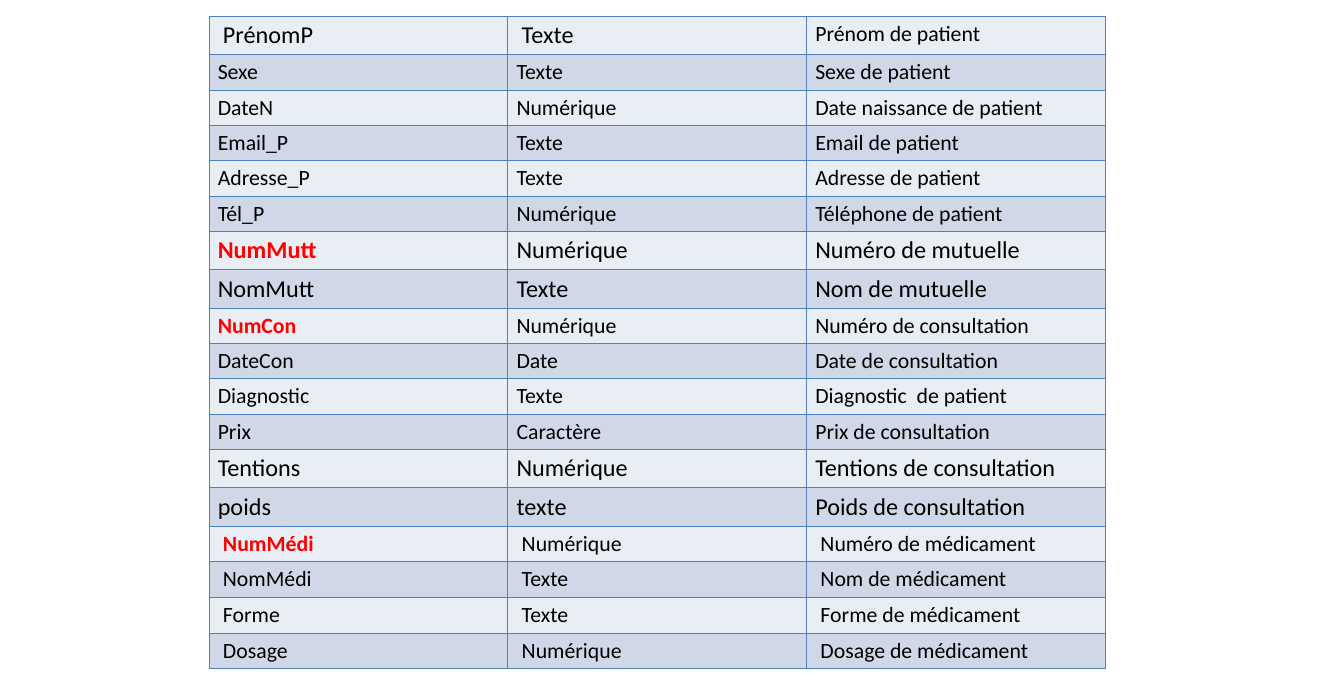
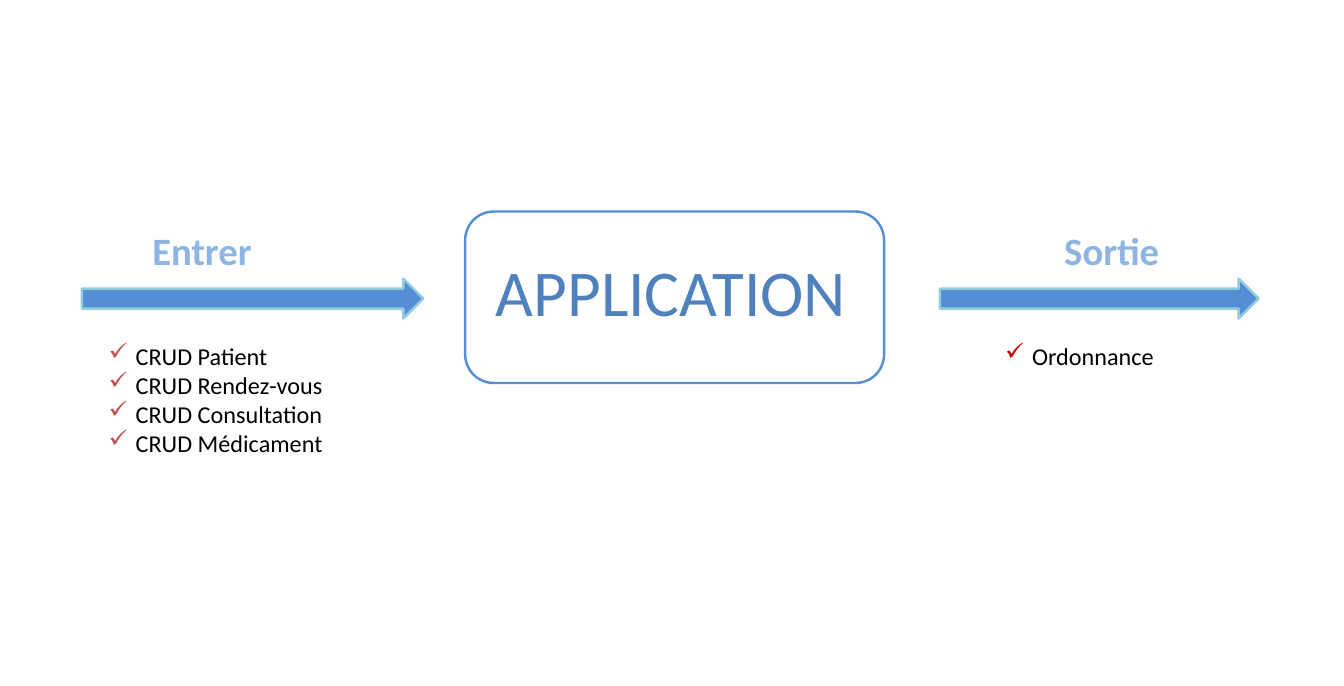
from dataclasses import dataclass

from lxml import etree
from pptx import Presentation
from pptx.dml.color import RGBColor
from pptx.enum.shapes import MSO_SHAPE
from pptx.enum.text import MSO_AUTO_SIZE, PP_ALIGN
from pptx.oxml.ns import qn
from pptx.slide import Slide
from pptx.table import _Cell
from pptx.text.text import _Paragraph
from pptx.util import Emu, Pt

RIGHT_ARROW = MSO_SHAPE.RIGHT_ARROW
ROUNDED_BOX = MSO_SHAPE.ROUNDED_RECTANGLE
LEFT, CENTER = PP_ALIGN.LEFT, PP_ALIGN.CENTER
FIT_SHAPE = MSO_AUTO_SIZE.SHAPE_TO_FIT_TEXT

EMU_PER_PX = 9144
FONT = "Calibri"
COLORS = {
    "text": "000000",
    "key": "FF0000",
    "border": "4F81BD",
    "light_row": "E9EDF4",
    "dark_row": "D0D8E8",
    "heading": "8EB4E3",
    "application": "4F81BD",
    "arrow": "558ED5",
    "arrow_line": "93CDDD",
    "input_check": "C0504D",
    "output_check": "C00000",
}


@dataclass(frozen=True)
class Field:
    name: str
    kind: str
    meaning: str
    size: int = 18
    is_key: bool = False
    indented: bool = False


@dataclass(frozen=True)
class Frame:
    left: int
    top: int
    width: int
    height: int


@dataclass(frozen=True)
class Label:
    frame: Frame
    lines: tuple[str, ...]
    size: int
    color: str
    bold: bool = False
    align: PP_ALIGN = LEFT
    wrap: bool = True
    bullet_color: str = ""


@dataclass(frozen=True)
class Block:
    shape: MSO_SHAPE
    frame: Frame
    line: str
    fill: str = ""


FIELDS = (
    Field("PrénomP", "Texte", "Prénom de patient", size=20, indented=True),
    Field("Sexe", "Texte", "Sexe de patient"),
    Field("DateN", "Numérique", "Date naissance de patient"),
    Field("Email_P", "Texte", "Email de patient"),
    Field("Adresse_P", "Texte", "Adresse de patient"),
    Field("Tél_P", "Numérique", "Téléphone de patient"),
    Field("NumMutt", "Numérique", "Numéro de mutuelle", size=20, is_key=True),
    Field("NomMutt", "Texte", "Nom de mutuelle", size=20),
    Field("NumCon", "Numérique", "Numéro de consultation", is_key=True),
    Field("DateCon", "Date", "Date de consultation"),
    Field("Diagnostic", "Texte", "Diagnostic  de patient"),
    Field("Prix", "Caractère", "Prix de consultation"),
    Field("Tentions", "Numérique", "Tentions de consultation", size=20),
    Field("poids", "texte", "Poids de consultation", size=20),
    Field("NumMédi", "Numérique", "Numéro de médicament", is_key=True, indented=True),
    Field("NomMédi", "Texte", "Nom de médicament", indented=True),
    Field("Forme", "Texte", "Forme de médicament", indented=True),
    Field("Dosage", "Numérique", "Dosage de médicament", indented=True),
)

BLOCKS = (
    Block(RIGHT_ARROW, Frame(94, 320, 392, 46), "arrow_line", "arrow"),
    Block(RIGHT_ARROW, Frame(1079, 320, 366, 46), "arrow_line", "arrow"),
    Block(ROUNDED_BOX, Frame(534, 243, 481, 197), "arrow"),
)

LABELS = (
    Label(Frame(165, 256, 236, 64), ("Entrer",), 32, "heading", bold=True),
    Label(Frame(1212, 256, 197, 64), ("Sortie",), 32, "heading", bold=True),
    Label(Frame(557, 284, 427, 101), ("APPLICATION",), 54, "application",
          align=CENTER, wrap=False),
    Label(Frame(1144, 387, 236, 44), ("Ordonnance",), 20, "text",
          bullet_color="output_check"),
    Label(Frame(115, 387, 290, 145),
          ("CRUD Patient", "CRUD Rendez-vous", "CRUD Consultation", "CRUD Médicament"),
          20, "text", bullet_color="input_check"),
)


def px(length: int) -> Emu:
    return Emu(length * EMU_PER_PX)


def place(frame: Frame) -> tuple[Emu, Emu, Emu, Emu]:
    return px(frame.left), px(frame.top), px(frame.width), px(frame.height)


def rgb(name: str) -> RGBColor:
    return RGBColor.from_string(COLORS[name])


def write(para: _Paragraph, text: str, size: int, color: str, bold: bool = False) -> None:
    para.text = text
    for span in para.runs:
        span.font.name = FONT
        span.font.size = Pt(size)
        span.font.bold = bold
        span.font.color.rgb = rgb(color)


def add_check_bullet(para: _Paragraph, color: str) -> None:
    properties = para._p.get_or_add_pPr()
    properties.set("marL", str(px(31)))
    properties.set("indent", str(px(-31)))
    bullet_color = etree.SubElement(properties, qn("a:buClr"))
    etree.SubElement(bullet_color, qn("a:srgbClr"), val=COLORS[color])
    etree.SubElement(properties, qn("a:buChar"), char="✓")


def add_borders(cell: _Cell) -> None:
    """Draw all four borders; they must stand before the fill in the cell properties."""
    properties = cell._tc.get_or_add_tcPr()
    for index, side in enumerate(("a:lnL", "a:lnR", "a:lnT", "a:lnB")):
        line = etree.Element(qn(side), w=str(Pt(1)))
        fill = etree.SubElement(line, qn("a:solidFill"))
        etree.SubElement(fill, qn("a:srgbClr"), val=COLORS["border"])
        properties.insert(index, line)


def draw_cell(cell: _Cell, text: str, size: int, color: str, bold: bool,
              margin: int, fill: str) -> None:
    cell.margin_left = cell.margin_right = px(margin)
    cell.margin_top = cell.margin_bottom = px(5)
    cell.fill.solid()
    cell.fill.fore_color.rgb = rgb(fill)
    add_borders(cell)
    write(cell.text_frame.paragraphs[0], text, size, color, bold)


def draw_dictionary(page: Slide, fields: tuple[Field, ...]) -> None:
    frame = Frame(240, 19, 1029, 744)
    table = page.shapes.add_table(len(fields), 3, *place(frame)).table
    table.first_row = table.horz_banding = False
    for column in table.columns:
        column.width = px(frame.width // 3)
    for row, field in enumerate(fields):
        table.rows[row].height = px(41 if field.indented else 40)
        fill = "dark_row" if row % 2 else "light_row"
        for column, text in enumerate((field.name, field.kind, field.meaning)):
            is_key = field.is_key and column == 0
            plain = row == 0 and column == 2
            draw_cell(table.cell(row, column), text,
                      size=18 if plain else field.size,
                      color="key" if is_key else "text",
                      bold=is_key,
                      margin=16 if field.indented and not plain else 10,
                      fill=fill)


def draw_block(page: Slide, block: Block) -> None:
    shape = page.shapes.add_shape(block.shape, *place(block.frame))
    shape.shadow.inherit = False
    shape.line.color.rgb = rgb(block.line)
    shape.line.width = Pt(2)
    if block.fill:
        shape.fill.solid()
        shape.fill.fore_color.rgb = rgb(block.fill)
    else:
        shape.fill.background()


def draw_label(page: Slide, label: Label) -> None:
    box = page.shapes.add_textbox(*place(label.frame))
    frame = box.text_frame
    frame.word_wrap = label.wrap
    frame.auto_size = FIT_SHAPE
    for index, text in enumerate(label.lines):
        para = frame.add_paragraph() if index else frame.paragraphs[0]
        write(para, text, label.size, label.color, label.bold)
        para.alignment = label.align
        if label.bullet_color:
            add_check_bullet(para, label.bullet_color)


def main() -> None:
    deck = Presentation()
    deck.slide_width, deck.slide_height = px(1543), px(788)
    blank_layout = deck.slide_layouts[6]

    draw_dictionary(deck.slides.add_slide(blank_layout), FIELDS)

    flow_page = deck.slides.add_slide(blank_layout)
    for block in BLOCKS:
        draw_block(flow_page, block)
    for label in LABELS:
        draw_label(flow_page, label)

    deck.save("out.pptx")


if __name__ == "__main__":
    main()
